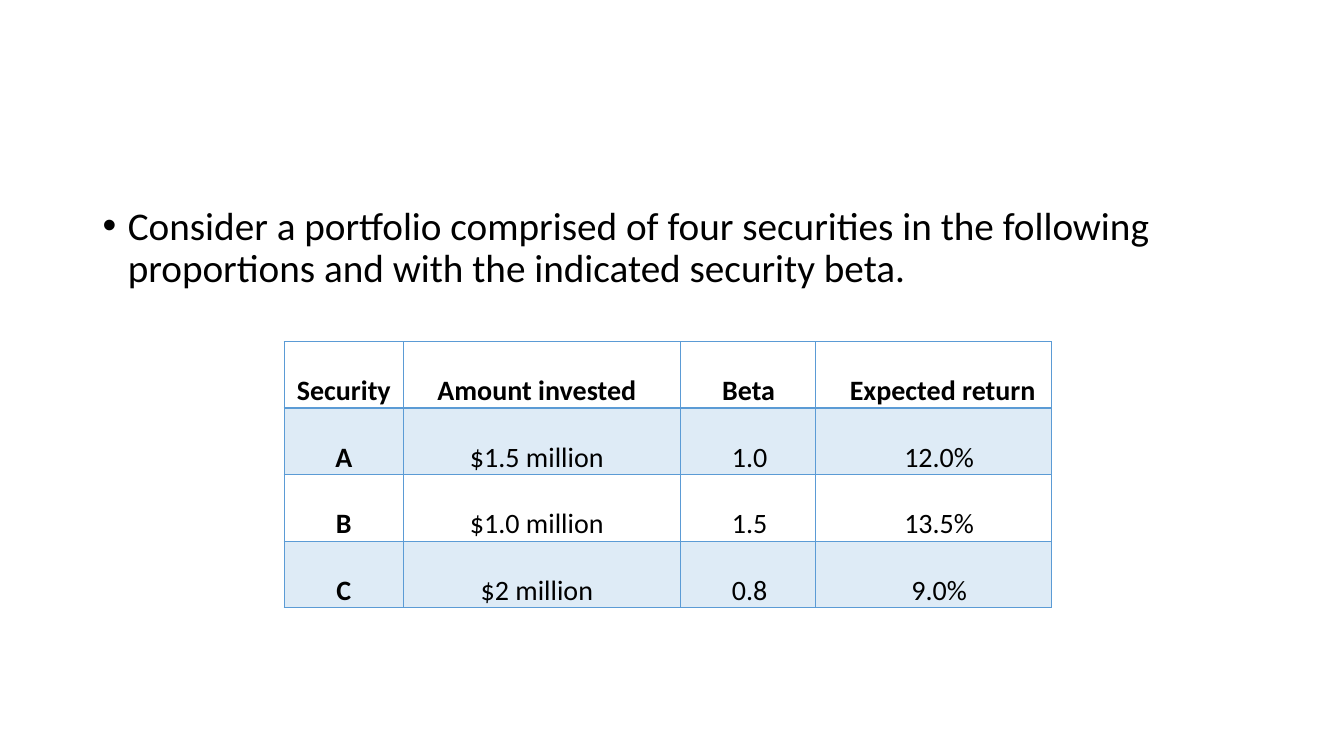
from lxml import etree
from pptx import Presentation
from pptx import util as u
from pptx.dml.color import RGBColor
from pptx.enum import text
from pptx.oxml.ns import qn

FONT = "Calibri"
BLACK = "000000"
BLUE = "5B9BD5"
ROWS = [
    ("Security", "Amount invested", "Beta", "Expected return"),
    ("A", "$1.5 million", "1.0", "12.0%"),
    ("B", "$1.0 million", "1.5", "13.5%"),
    ("C", "$2 million", "0.8", "9.0%"),
]
COL_WIDTHS = (1.18, 2.75, 1.34, 2.34)
ROW_HEIGHT = 0.66
HEADER_INDENTS = (0, 0, 0.01, 0.18)
BODY_INDENTS = (0, 0, 0.03, 0.11)
RIGHT_MARGINS = (0, 0.1, 0, 0)


def color(value):
    return RGBColor.from_string(value)


def style_run(r, size, bold=False):
    r.font.name = FONT
    r.font.size = u.Pt(size)
    r.font.bold = bold
    r.font.color.rgb = color(BLACK)


def set_indent(p, left, first=0):
    pPr = p._p.get_or_add_pPr()
    pPr.set("marL", str(u.Inches(left)))
    pPr.set("indent", str(u.Inches(first)))
    return pPr


def add_bullet(s, left, top, width, height, content):
    tf = s.shapes.add_textbox(*map(u.Inches, (left, top, width, height))).text_frame
    tf.word_wrap = True
    p = tf.paragraphs[0]
    p.text = content
    p.line_spacing = 0.9
    p.space_before = u.Pt(10)
    pPr = set_indent(p, 0.25, -0.25)
    etree.SubElement(pPr, qn("a:buFont"), typeface="Arial")
    etree.SubElement(pPr, qn("a:buChar"), char="•")
    style_run(p.runs[0], 28)


def set_border(cell, side, width):
    tcPr = cell._tc.get_or_add_tcPr()
    ln = etree.SubElement(tcPr, qn(f"a:ln{side}"), w=str(u.Pt(width)))
    fill = etree.SubElement(ln, qn("a:solidFill"))
    etree.SubElement(fill, qn("a:srgbClr"), val=BLUE)


def set_fill(cell, banded):
    if not banded:
        cell.fill.background()
        return
    cell.fill.solid()
    cell.fill.fore_color.rgb = color(BLUE)
    clr = cell._tc.tcPr.find(".//" + qn("a:solidFill") + "/" + qn("a:srgbClr"))
    for clr in cell._tc.tcPr.find(qn("a:solidFill")):
        etree.SubElement(clr, qn("a:alpha"), val="20000")


def fill_cell(cell, content, row, col):
    header = row == 0
    cell.margin_left = cell.margin_top = cell.margin_bottom = 0
    cell.margin_right = u.Inches(RIGHT_MARGINS[col])
    cell.vertical_anchor = text.MSO_ANCHOR.BOTTOM
    p = cell.text_frame.paragraphs[0]
    p.text = content
    p.alignment = text.PP_ALIGN.CENTER
    set_indent(p, (HEADER_INDENTS if header else BODY_INDENTS)[col])
    style_run(p.runs[0], 20, header or col == 0)
    for side in "LRTB":
        heavy = (row, side) in ((0, "B"), (1, "T"))
        set_border(cell, side, 2 if heavy else 1)
    set_fill(cell, row % 2 == 1)


def add_security_table(s, left, top):
    size = (sum(COL_WIDTHS), ROW_HEIGHT * len(ROWS))
    table = s.shapes.add_table(
        len(ROWS), len(COL_WIDTHS), *map(u.Inches, (left, top, *size))
    ).table
    table.first_row = table.horz_banding = False
    for column, width in zip(table.columns, COL_WIDTHS):
        column.width = u.Inches(width)
    for i, values in enumerate(ROWS):
        table.rows[i].height = u.Inches(ROW_HEIGHT)
        for j, value in enumerate(values):
            fill_cell(table.cell(i, j), value, i, j)


def main():
    prs = Presentation()
    prs.slide_width, prs.slide_height = u.Inches(13.33), u.Inches(7.5)
    s = prs.slides.add_slide(prs.slide_layouts[6])
    add_bullet(s, 0.92, 2, 11.5, 4.76,
               "Consider a portfolio comprised of four securities in the following "
               "proportions and with the indicated security beta.")
    add_security_table(s, 2.82, 3.39)
    prs.save("out.pptx")


main()
